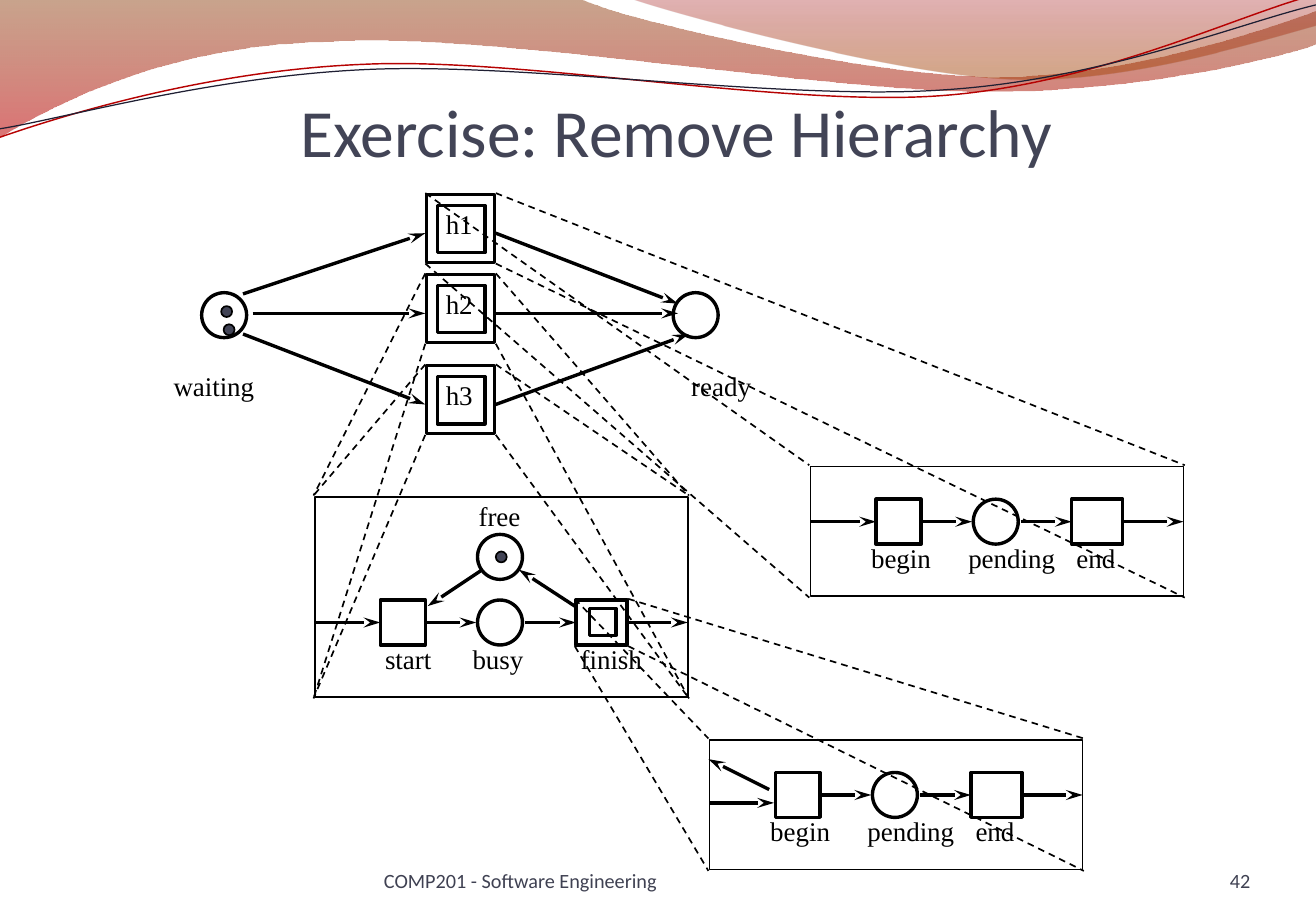
from collections import namedtuple
from dataclasses import dataclass

from lxml.etree import SubElement
from pptx import Presentation
from pptx.dml.color import RGBColor
from pptx.enum.dml import MSO_LINE_DASH_STYLE as Dash
from pptx.enum.shapes import MSO_CONNECTOR as Connector, MSO_SHAPE as Preset
from pptx.enum.text import MSO_ANCHOR as Anchor, MSO_AUTO_SIZE as AutoSize, PP_ALIGN as Align
from pptx.oxml.ns import qn
from pptx.util import Cm, Pt


@dataclass(frozen=True)
class Theme:
    black: str = "000000"
    title: str = "424456"
    footer: str = "3F4152"
    wave_red: str = "B60202"
    wave_navy: str = "1F1F33"
    heading_font: str = "Calibri"
    label_font: str = "Times New Roman"
    title_size: int = 40
    label_size: int = 16
    footer_size: int = 12
    thick: int = 2
    thin: int = 1


THEME = Theme()
Joint = namedtuple("Joint", "shape side")
TOP, LEFT, BOTTOM, RIGHT = range(4)
NODE, TOKEN, WIDE = 0.37, 0.09, 0.42
FRAME_WIDTH = 3.07
GAP = 0.01


def cm(inches):
    """The diagram sits on an inch grid; lengths are given in centimetres."""
    return Cm(inches * 2.54)


def colour(value):
    return RGBColor.from_string(value)


def add_span(para, text, font, size, tone):
    span = para.add_run()
    span.text = text
    span.font.name, span.font.size = font, Pt(size)
    span.font.color.rgb = colour(tone)


def set_insets(frame, left, top, right, bottom):
    frame.margin_left, frame.margin_top = cm(left), cm(top)
    frame.margin_right, frame.margin_bottom = cm(right), cm(bottom)


def add_title(page, text):
    title = page.shapes.title
    title.left, title.top, title.width, title.height = map(cm, (0.87, 0.55, 9.39, 0.86))
    frame = title.text_frame
    frame.auto_size, frame.vertical_anchor = AutoSize.NONE, Anchor.BOTTOM
    set_insets(frame, 0, 0.05, 0, 0)
    frame.paragraphs[0].alignment = Align.CENTER
    add_span(frame.paragraphs[0], text, THEME.heading_font, THEME.title_size, THEME.title)


def add_footer(page, text, left, width, align):
    box = page.shapes.add_textbox(cm(left), cm(6.95), cm(width), cm(0.4))
    frame = box.text_frame
    frame.word_wrap, frame.vertical_anchor = True, Anchor.BOTTOM
    set_insets(frame, 0, 0, 0, 0)
    frame.paragraphs[0].alignment = align
    add_span(frame.paragraphs[0], text, THEME.heading_font, THEME.footer_size, THEME.footer)


def add_label(page, text, left, top, width):
    box = page.shapes.add_textbox(cm(left), cm(top), cm(width), cm(0.34))
    frame = box.text_frame
    frame.word_wrap, frame.auto_size = False, AutoSize.SHAPE_TO_FIT_TEXT
    set_insets(frame, 0.1, 0.05, 0.1, 0.05)
    frame.paragraphs[0].line_spacing = 0.9
    add_span(frame.paragraphs[0], text, THEME.label_font, THEME.label_size, THEME.black)


def add_outline(page, preset, left, top, width, height, weight=THEME.thick):
    shape = page.shapes.add_shape(preset, cm(left), cm(top), cm(width), cm(height))
    shape.shadow.inherit = False
    shape.fill.background()
    shape.line.color.rgb, shape.line.width = colour(THEME.black), Pt(weight)
    return shape


def add_place(page, left, top):
    return add_outline(page, Preset.OVAL, left, top, NODE, NODE)


def add_token(page, left, top):
    token = add_outline(page, Preset.OVAL, left, top, TOKEN, TOKEN, THEME.thin)
    token.fill.solid()
    token.fill.fore_color.rgb = colour(THEME.title)


def add_line(page, start, end, weight):
    """Each end is a point or a Joint on a rectangle's side."""
    points = [(0, 0) if isinstance(spot, Joint) else spot for spot in (start, end)]
    line = page.shapes.add_connector(Connector.STRAIGHT, *(cm(n) for spot in points for n in spot))
    if isinstance(start, Joint):
        line.begin_connect(*start)
    if isinstance(end, Joint):
        line.end_connect(*end)
    line.line.color.rgb, line.line.width = colour(THEME.black), Pt(weight)
    SubElement(line.element.spPr, qn("a:effectLst"))
    return line


def add_arrow(page, start, end):
    arrow = add_line(page, start, end, THEME.thick)
    outline = arrow.element.spPr.find(qn("a:ln"))
    SubElement(outline, qn("a:tailEnd"), type="stealth", w="med", len="lg")


def add_zoom(page, box, frame):
    """Dashed rays from each corner of a box to the same corner of its detail frame."""
    for across in (0, 1):
        for down in (0, 1):
            start, end = ((left - GAP + across * (width + 2 * GAP), top - GAP + down * (height + 2 * GAP))
                          for left, top, width, height in (box, frame))
            add_line(page, start, end, THEME.thin).line.dash_style = Dash.DASH


def add_hierarchy_box(page, name, top):
    area = (3.51, top, 0.56, 0.56)
    add_outline(page, Preset.RECTANGLE, *area)
    add_outline(page, Preset.RECTANGLE, 3.6, top + 0.09, 0.39, 0.39)
    add_label(page, name, 3.57, top + 0.09, 0.42)
    return area


def add_chain(page, frame, row, labels, joined_entry=True):
    """Framed transition, place, transition; labels hold (text, offset, width)."""
    left, top = frame[:2]
    y = top + row
    middle = y + NODE / 2
    add_outline(page, Preset.RECTANGLE, *frame, THEME.thin)
    first = add_outline(page, Preset.RECTANGLE, left + 0.54, y, NODE, NODE)
    add_place(page, left + 1.34, y)
    last = add_outline(page, Preset.RECTANGLE, left + 2.15, y, WIDE, NODE)
    if joined_entry:
        add_arrow(page, (left, middle), Joint(first, LEFT))
    else:
        add_arrow(page, (left, y + 0.25), (left + 0.53, y + 0.25))
    add_arrow(page, Joint(first, RIGHT), (left + 1.33, middle))
    add_arrow(page, (left + 1.73, middle), Joint(last, LEFT))
    add_arrow(page, Joint(last, RIGHT), (left + FRAME_WIDTH, middle))
    for text, offset, width in labels:
        add_label(page, text, left + offset, y + 0.33, width)


def add_curve(page, start, *pieces, closed=False):
    """A piece is one point (straight) or three points (Bezier)."""
    builder = page.shapes.build_freeform(cm(start[0]), cm(start[1]))
    builder.add_line_segments([(cm(x), cm(y)) for piece in pieces for x, y in piece], close=closed)
    shape = builder.convert_to_shape()
    shape.shadow.inherit = False
    segments = iter(list(shape.element.iter(qn("a:lnTo"))))
    for piece in pieces:
        steps = [next(segments) for _ in piece]
        if len(steps) == 3:
            steps[0].tag = qn("a:cubicBezTo")
            for step in steps[1:]:
                steps[0].append(step[0])
                step.getparent().remove(step)
    return shape


def paint_wave(shape, *stops):
    """Downward gradient; stops hold (position, colour, opacity in percent)."""
    shape.line.fill.background()
    shape.fill.gradient()
    shape.fill.gradient_angle = 270
    for stop, (position, tone, _) in zip(shape.fill.gradient_stops, stops):
        stop.position, stop.color.rgb = position, colour(tone)
    for element, (_, _, opacity) in zip(shape.element.spPr.iter(qn("a:srgbClr")), stops):
        SubElement(element, qn("a:alpha"), val=str(opacity * 1000))


def add_waves(page):
    band = add_curve(page, (0, 0), [(4.77, -0.01)], [(5.15, 0.17), (7.19, 0.63), (8.22, 0.63)],
                     [(9.24, 0.63), (10.38, 0.26), (10.83, 0.09)], [(10.84, 0.36)],
                     [(10.65, 0.44), (9.42, 0.76), (8.08, 0.75)], [(6.74, 0.75), (4.14, 0.28), (2.79, 0.34)],
                     [(1.4, 0.36), (0.5, 0.83), (-0.01, 1.13)], [(0, 0)], closed=True)
    paint_wave(band, (0, "883400", 45), (1, "BD0000", 55))
    crest = add_curve(page, (5.19, -0.01), [(5.52, 0.11), (7.39, 0.62), (8.33, 0.65)],
                      [(9.27, 0.69), (10.42, 0.32), (10.83, 0.21)], [(10.83, 0)], [(5.19, -0.01)], closed=True)
    paint_wave(crest, (0, "9A0000", 30), (0.8, "A23E00", 45))
    red = add_curve(page, (0, 1.13), [(0.52, 0.95), (1.71, 0.58), (3, 0.53)],
                    [(4.28, 0.47), (6.42, 0.88), (7.72, 0.79)], [(9.02, 0.7), (10.17, 0.13), (10.81, -0.04)])
    navy = add_curve(page, (0, 1.06), [(0.51, 0.98), (1.77, 0.62), (3.07, 0.57)],
                     [(4.36, 0.52), (6.47, 0.83), (7.76, 0.74)], [(9.06, 0.66), (10.2, 0.19), (10.83, 0.04)])
    for strand, tone, weight in ((red, THEME.wave_red, 0.85), (navy, THEME.wave_navy, 0.75)):
        strand.fill.background()
        strand.line.color.rgb, strand.line.width = colour(tone), Pt(weight)


def main():
    deck = Presentation()
    deck.slide_width, deck.slide_height = cm(10.83), cm(7.5)
    page = deck.slides.add_slide(deck.slide_layouts[5])
    add_waves(page)
    add_title(page, "Exercise: Remove Hierarchy")

    for name, place_left, label_left, width in (("waiting", 1.66, 1.33, 0.87), ("ready", 5.54, 5.59, 0.69)):
        add_place(page, place_left, 2.41)
        add_label(page, name, label_left, 3.02, width)
    for spot in ((1.82, 2.52), (1.84, 2.67), (4.08, 4.54)):
        add_token(page, *spot)

    cycle = (2.59, 4.09, FRAME_WIDTH, 1.65)
    upper = (6.67, 3.84, FRAME_WIDTH, 1.07)
    lower = (5.84, 6.09, FRAME_WIDTH, 1.07)
    for name, top, source, target, detail in (
            ("h1", 1.6, (2, 2.42), (5.58, 2.5), upper),
            ("h2", 2.26, (2.08, 2.58), (5.58, 2.58), cycle),
            ("h3", 3.01, (2, 2.75), (5.67, 2.75), cycle)):
        area = add_hierarchy_box(page, name, top)
        add_arrow(page, source, (3.5, top + 0.32))
        add_arrow(page, (4.08, top + 0.32), target)
        add_zoom(page, area, detail)

    add_chain(page, cycle, 0.85, (("start", 0.48, 0.58), ("busy", 1.2, 0.62), ("finish", 2.09, 0.71)))
    add_label(page, "free", 3.84, 4.09, 0.55)
    add_place(page, 3.93, 4.4)
    add_arrow(page, (3.97, 4.69), (3.52, 4.99))
    add_arrow(page, (4.73, 4.99), (4.27, 4.69))
    add_outline(page, Preset.RECTANGLE, 4.85, 5.01, 0.22, 0.22)

    steps = (("begin", 0.4, 0.69), ("pending", 1.2, 0.92), ("end", 2.09, 0.52))
    add_chain(page, upper, 0.27, steps)
    add_chain(page, lower, 0.27, steps, joined_entry=False)
    add_arrow(page, (6.33, 6.5), (5.83, 6.25))
    add_zoom(page, (4.74, 4.94, WIDE, NODE), lower)

    add_footer(page, "42", 9.39, 0.9, Align.RIGHT)
    add_footer(page, "COMP201 - Software Engineering", 3.16, 3.97, Align.LEFT)
    deck.save("out.pptx")


if __name__ == "__main__":
    main()
